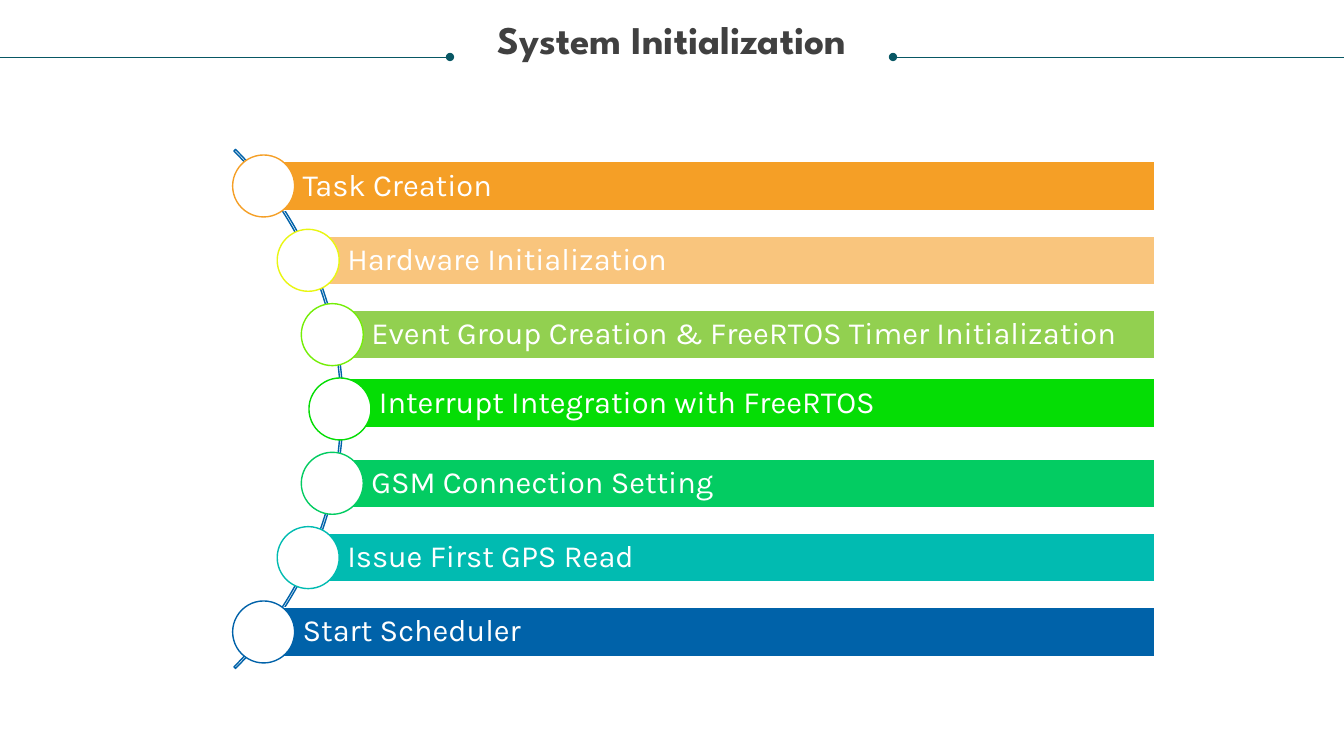
from math import sqrt

from pptx import Presentation
from pptx.dml.color import RGBColor
from pptx.enum.shapes import MSO_CONNECTOR, MSO_SHAPE
from pptx.enum.text import MSO_ANCHOR, MSO_AUTO_SIZE, PP_ALIGN
from pptx.oxml.ns import qn
from pptx.util import Pt
from lxml.etree import SubElement

SLIDE_WIDTH, SLIDE_HEIGHT = 1344, 756
EMU_PER_PX = 12192000 / SLIDE_WIDTH

COLORS = {
    "white": "FFFFFF",
    "title": "404040",
    "rule": "085764",
    "orange": "F59F26",
    "peach": "F9C57D",
    "yellow": "E9F612",
    "olive": "92D050",
    "lime": "74EE07",
    "green": "05DD05",
    "emerald": "03CC62",
    "teal": "01BBB1",
    "blue": "0062A9",
}

STEPS = [
    ("Task Creation", "orange", "orange", 0),
    ("Hardware Initialization", "peach", "yellow", 0),
    ("Event Group Creation & FreeRTOS Timer Initialization", "olive", "lime", 0),
    ("Interrupt Integration with FreeRTOS", "green", "green", -6),
    ("GSM Connection Setting", "emerald", "emerald", 0),
    ("Issue First GPS Read", "teal", "teal", 0),
    ("Start Scheduler", "blue", "blue", 0),
]


def px(length):
    return round(length * EMU_PER_PX)


def color(name):
    return RGBColor.from_string(COLORS[name])


def add_outlined(slide, preset, box, fill, outline):
    shape = slide.shapes.add_shape(preset, *map(px, box))
    shape.shadow.inherit = False
    if fill:
        shape.fill.solid()
        shape.fill.fore_color.rgb = color(fill)
    else:
        shape.fill.background()
    shape.line.color.rgb = color(outline)
    shape.line.width = Pt(1)
    return shape


def write_line(frame, text, font, size, ink, align, insets, bold=False):
    frame.margin_left, frame.margin_top, frame.margin_right, frame.margin_bottom = map(px, insets)
    frame.word_wrap = True
    paragraph = frame.paragraphs[0]
    paragraph.alignment = align
    paragraph.line_spacing = 0.9
    run = paragraph.add_run()
    run.text = text
    run.font.name = font
    run.font.size = Pt(size)
    run.font.bold = bold
    run.font.color.rgb = color(ink)


def add_rule(slide, start, end, y, dot_end):
    rule = slide.shapes.add_connector(MSO_CONNECTOR.STRAIGHT, px(start), px(y), px(end), px(y))
    rule.line.color.rgb = color("rule")
    rule.line.width = Pt(0.5)
    properties = rule._element.spPr
    SubElement(properties.find(qn("a:ln")), qn(dot_end), type="oval")
    SubElement(properties, qn("a:effectLst"))


def add_header(slide, box):
    left, top, width, height = box
    title = slide.shapes.title
    title.left, title.top, title.width, title.height = map(px, (left + 25, top + 21, width - 50, 42))
    frame = title.text_frame
    frame.auto_size = MSO_AUTO_SIZE.SHAPE_TO_FIT_TEXT
    frame.vertical_anchor = MSO_ANCHOR.TOP
    write_line(frame, "System Initialization", "League Spartan", 28, "title",
               PP_ALIGN.CENTER, (0, 0, 0, 0), bold=True)
    add_rule(slide, left, left + 450, top + height, "a:tailEnd")
    add_rule(slide, left + 893, left + width, top + height, "a:headEnd")


def add_step_arc(slide, box):
    left, top, width, height = box
    arc_radius, node_track, node_size, bar_height = 367, 364, 62, 49
    hub_x, hub_y = left - 256, top + height / 2
    pitch = (height - node_size) / (len(STEPS) - 1)

    arc = add_outlined(slide, MSO_SHAPE.BLOCK_ARC,
                       (hub_x - arc_radius, hub_y - arc_radius, 2 * arc_radius, 2 * arc_radius),
                       None, "blue")
    for index, adjustment in enumerate((189, 27, 0.003)):
        arc.adjustments[index] = adjustment

    for index, (label, bar_fill, node_outline, bar_shift) in enumerate(STEPS):
        node_y = top + node_size / 2 + index * pitch
        node_x = hub_x + sqrt(node_track ** 2 - (node_y - hub_y) ** 2)
        bar = add_outlined(slide, MSO_SHAPE.RECTANGLE,
                           (node_x, node_y + bar_shift - bar_height / 2,
                            left + width - node_x, bar_height),
                           bar_fill, "white")
        bar.text_frame.vertical_anchor = MSO_ANCHOR.MIDDLE
        write_line(bar.text_frame, label, "Karla", 22, "white", PP_ALIGN.LEFT, (39, 6, 6, 6))
        add_outlined(slide, MSO_SHAPE.OVAL,
                     (node_x - node_size / 2, node_y - node_size / 2, node_size, node_size),
                     "white", node_outline)


def main():
    deck = Presentation()
    deck.slide_width, deck.slide_height = px(SLIDE_WIDTH), px(SLIDE_HEIGHT)
    slide = deck.slides.add_slide(deck.slide_layouts[5])
    add_header(slide, (0, 0, SLIDE_WIDTH, 57))
    add_step_arc(slide, (232, 155, 923, 508))
    deck.save("out.pptx")


if __name__ == "__main__":
    main()
